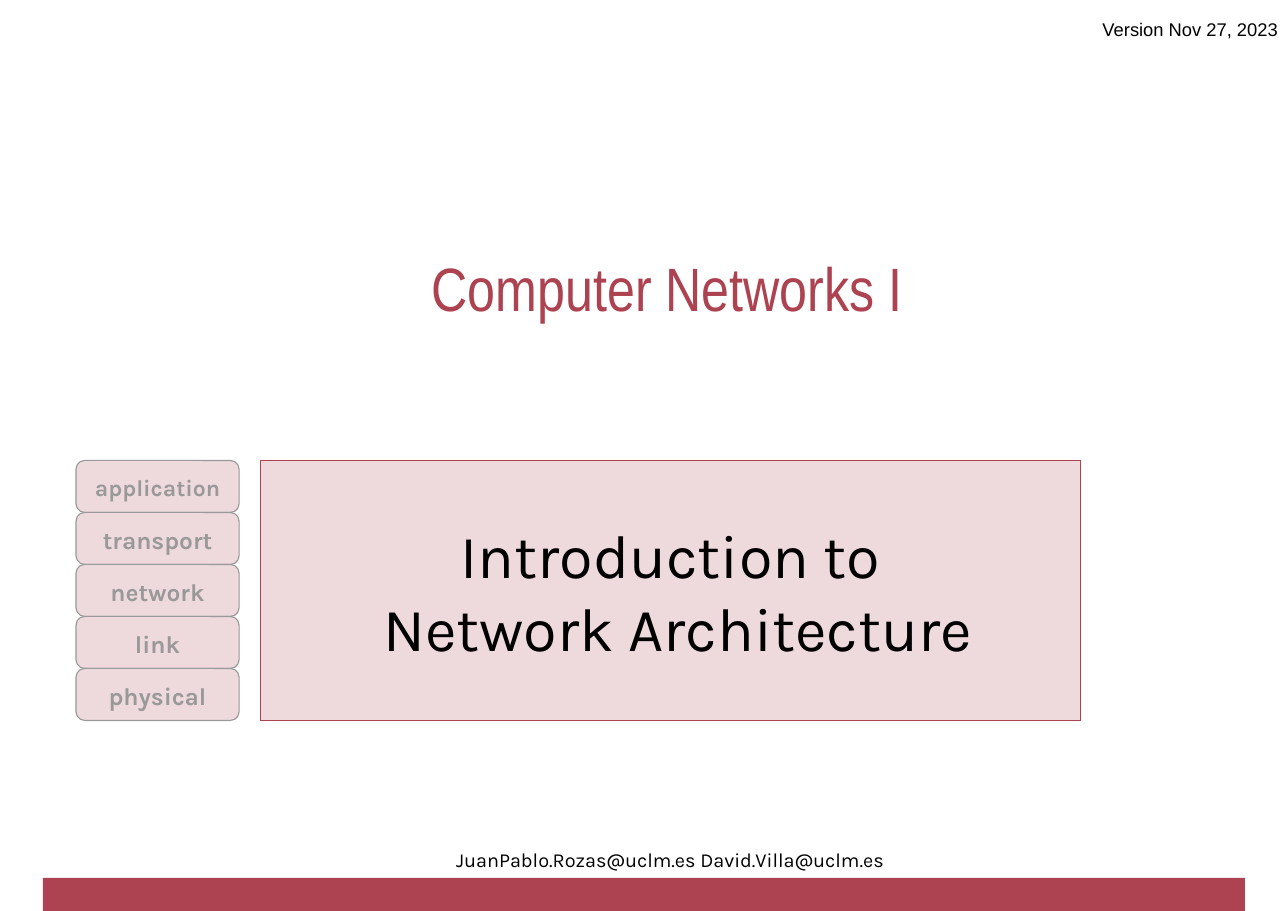
from pptx import Presentation
from pptx.dml.color import RGBColor
from pptx.enum.shapes import MSO_SHAPE as Shape
from pptx.enum.text import MSO_ANCHOR as Anchor, MSO_AUTO_SIZE as AutoSize, PP_ALIGN as Align
from pptx.util import Inches, Pt

COLORS = {"red": "AD4251", "pink": "EED9DC", "gray": "999999", "black": "000000"}
LAYERS = [("application", 15), ("transport", 16), ("network", 16), ("link", 16), ("physical", 16)]


def color(name):
    """Return the named palette colour."""
    return RGBColor.from_string(COLORS[name])


def paint(shape, fill, line=None):
    """Give a shape a flat fill and a hairline or no outline."""
    shape.fill.solid()
    shape.fill.fore_color.rgb = color(fill)
    if line:
        shape.line.color.rgb = color(line)
        shape.line.width = Pt(0)
    else:
        shape.line.fill.background()


def write(shape, text, size, font, ink, align=Align.CENTER, anchor=Anchor.TOP,
          margins=(0, 0, 0, 0), spacing=1.0, bold=False, wrap=True):
    """Set the text of a shape and format it."""
    frame = shape.text_frame
    frame.text = text
    frame.word_wrap = wrap
    frame.auto_size = AutoSize.NONE
    frame.vertical_anchor = anchor
    frame.margin_left, frame.margin_top, frame.margin_right, frame.margin_bottom = map(Inches, margins)
    for paragraph in frame.paragraphs:
        paragraph.alignment = align
        paragraph.line_spacing = spacing
        paragraph.space_before = Pt(0)
        for run in paragraph.runs:
            run.font.size = Pt(size)
            run.font.name = font
            run.font.bold = bold
            run.font.color.rgb = color(ink)


def add_text(slide, box, text, size, font, ink, **options):
    """Add a text box with formatted text."""
    text_box = slide.shapes.add_textbox(*map(Inches, box))
    write(text_box, text, size, font, ink, **options)


def add_block(slide, kind, box, fill, line=None):
    """Add a flat preset shape and return it."""
    shape = slide.shapes.add_shape(kind, *map(Inches, box))
    shape.shadow.inherit = False
    paint(shape, fill, line)
    return shape


def place_title(slide, box):
    """Turn the title placeholder into the topic panel."""
    title = slide.shapes.title
    title.left, title.top, title.width, title.height = map(Inches, box)
    paint(title, "pink", "red")
    write(title, "Introduction to\v Network Architecture", 40, "Karla", "black",
          anchor=Anchor.MIDDLE, margins=(0.1, 0.05, 0.1, 0.05))


def add_layer_stack(slide, box):
    """Stack the network layers evenly inside the box."""
    left, top, width, height = box
    step = height / len(LAYERS)
    for index, (name, size) in enumerate(LAYERS):
        layer = add_block(slide, Shape.ROUNDED_RECTANGLE,
                          (left, top + index * step, width, step), "pink", "gray")
        write(layer, name, size, "Karla", "gray", anchor=Anchor.MIDDLE, spacing=1.08, bold=True)


def add_footer(slide, box):
    """Add the contact line above the bottom bar."""
    left, top, width, height = box
    add_block(slide, Shape.RECTANGLE, box, "red")
    add_text(slide, (left + 2.91, top - 0.29, 5.56, 0.29),
             "JuanPablo.Rozas@uclm.es David.Villa@uclm.es", 13, "Karla", "black", spacing=1.08)


def build_cover(presentation):
    """Build the cover slide."""
    slide = presentation.slides.add_slide(presentation.slide_layouts[5])
    add_text(slide, (9.99, 0.15, 1.61, 0.23), "Version Nov 27, 2023", 12, "Arial", "black",
             align=Align.RIGHT, spacing=1.08, wrap=False)
    add_text(slide, (0.98, 2.15, 9.92, 0.86), "Computer Networks I", 40, "Arial Narrow", "red",
             margins=(0.33, 0.12, 0.1, 0.05))
    place_title(slide, (2.36, 4.18, 7.45, 2.36))
    add_layer_stack(slide, (0.69, 4.18, 1.48, 2.36))
    add_footer(slide, (0.39, 7.97, 10.91, 0.3))


def main():
    """Create and save the presentation."""
    presentation = Presentation()
    presentation.slide_width, presentation.slide_height = Inches(11.69), Inches(8.27)
    build_cover(presentation)
    presentation.save("out.pptx")


if __name__ == "__main__":
    main()
